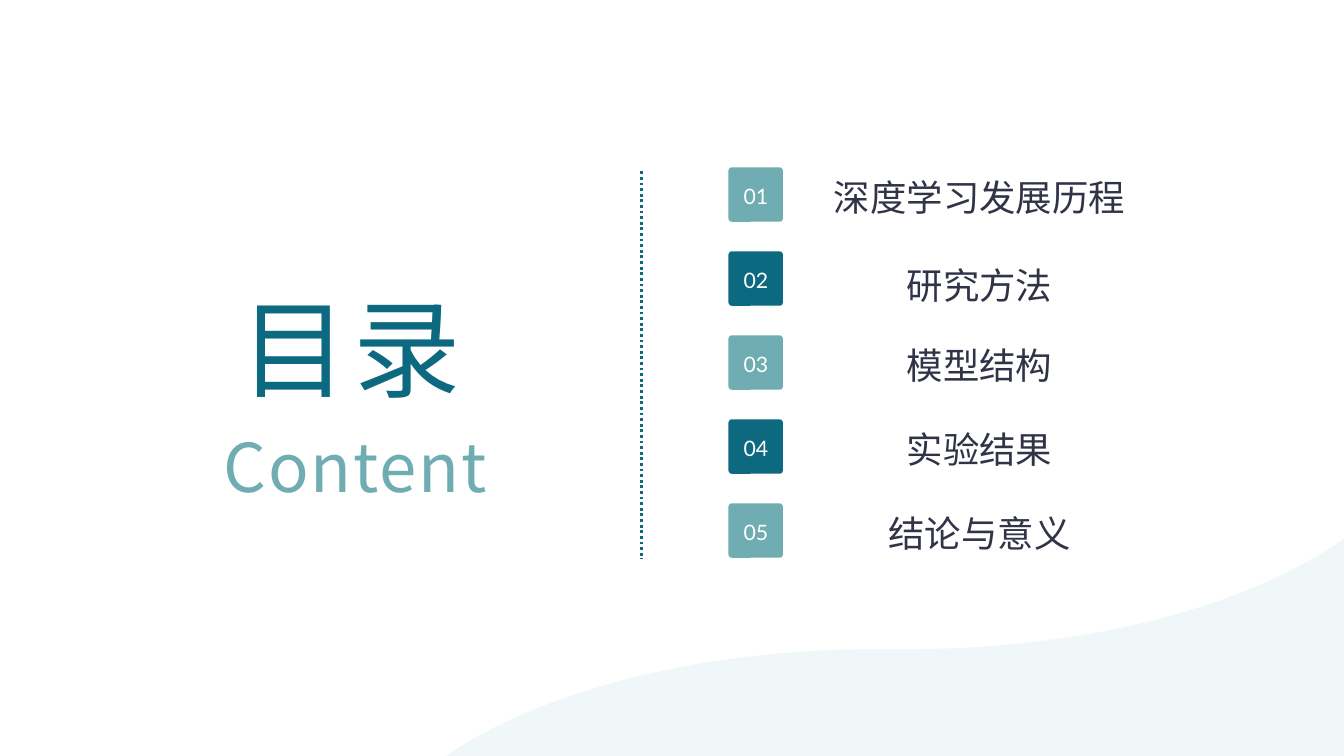
from dataclasses import dataclass
from pptx import Presentation
from pptx import util as u
from pptx.dml.color import RGBColor
from pptx.enum import dml, shapes, text
from pptx.oxml.ns import qn
from lxml import etree

# Grid: 20 columns of one inch; agenda rows 1.25 inches apart
COL = u.Inches(1)
FIRST_ROW, ROW = 2.49, 1.25
TEAL, SEA, INK, MIST, WHITE = "0C6980", "70ADB2", "313447", "F0F7F8", "FFFFFF"


@dataclass
class Style:
    font: str
    size: float
    color: str
    line: float
    align: text.PP_ALIGN = text.PP_ALIGN.LEFT
    tracking: float = 0


@dataclass
class Item:
    label: str
    nudge: float = 0


HEADING = Style("Arial", 115, TEAL, 107.5, tracking=6.1)
SUBHEAD = Style("Noto Sans CJK SC", 72, SEA, 62.1, tracking=1.9)
NUMBER = Style("Lato", 22.8, WHITE, 31.9, text.PP_ALIGN.CENTER)
LABEL = Style("Arial", 39, INK, 54.6, text.PP_ALIGN.CENTER)

ITEMS = [Item("深度学习发展历程"), Item("研究方法", 0.05), Item("模型结构"),
         Item("实验结果"), Item("结论与意义")]


def rgb(color: str) -> RGBColor:
    return RGBColor.from_string(color)


def cols(*values: float) -> list[int]:
    return [u.Emu(round(v * COL)) for v in values]


def paint(sp, color: str) -> None:
    sp.shadow.inherit = False
    sp.fill.solid()
    sp.fill.fore_color.rgb = rgb(color)
    sp.line.fill.background()


def write(sp, words: str, style: Style) -> None:
    tf = sp.text_frame
    tf.margin_left = tf.margin_right = tf.margin_top = tf.margin_bottom = 0
    tf.word_wrap = True
    tf.auto_size = text.MSO_AUTO_SIZE.SHAPE_TO_FIT_TEXT
    tf.vertical_anchor = text.MSO_ANCHOR.TOP
    p = tf.paragraphs[0]
    p.text = words
    p.alignment = style.align
    p.line_spacing = u.Pt(style.line)
    p.space_before = u.Pt(0)
    p.font.name, p.font.size = style.font, u.Pt(style.size)
    p.font.color.rgb = rgb(style.color)
    if style.tracking:
        for r in p.runs:
            r._r.get_or_add_rPr().set("spc", str(round(style.tracking * 100)))


def add_text(slide, box: tuple, words: str, style: Style) -> None:
    write(slide.shapes.add_textbox(*cols(*box)), words, style)


def bezier(a: tuple, b: tuple, c: tuple, d: tuple, steps: int = 40) -> list[tuple]:
    points = []
    for i in range(1, steps + 1):
        t = i / steps
        s = 1 - t
        points.append(tuple(s**3 * w + 3 * s * s * t * x + 3 * s * t * t * y + t**3 * z
                            for w, x, y, z in zip(a, b, c, d)))
    return points


def add_wave(slide) -> None:
    crest, saddle, end = (13.05, 9.66), (13.52, 9.66), (21.16, 6.71)
    outline = [(21.22, 13.35), (5.25, 13.35)]
    outline += bezier(outline[-1], (5.25, 11.31), (8.74, 9.66), crest)
    outline += [saddle] + bezier(saddle, (17.29, 9.66), (20.43, 8.39), end)
    builder = slide.shapes.build_freeform(*cols(21.22, 6.53))
    builder.add_line_segments([cols(*point) for point in outline], close=True)
    paint(builder.convert_to_shape(), MIST)


def add_divider(slide) -> None:
    line = slide.shapes.add_connector(shapes.MSO_CONNECTOR.STRAIGHT,
                                      *cols(9.55, 2.55, 9.55, 8.31))
    line.line.color.rgb = rgb(TEAL)
    line.line.width = u.Pt(3)
    line.line.dash_style = dml.MSO_LINE.ROUND_DOT
    etree.SubElement(line._element.spPr, qn("a:effectLst"))


def add_item(slide, index: int, item: Item) -> None:
    top = FIRST_ROW + index * ROW
    badge = slide.shapes.add_shape(shapes.MSO_SHAPE.ROUNDED_RECTANGLE,
                                   *cols(10.84, top, 0.81, 0.81))
    badge.adjustments[0] = 0.06
    paint(badge, TEAL if index % 2 else SEA)
    add_text(slide, (10.91, top + 0.17, 0.68, 0.45), f"{index + 1:02d}", NUMBER)
    add_text(slide, (11.94, top + 0.01 + item.nudge, 5.27, 0.7), item.label, LABEL)


def main() -> None:
    prs = Presentation()
    prs.slide_width, prs.slide_height = cols(20, 11.25)
    slide = prs.slides.add_slide(prs.slide_layouts[5])

    # Background wave
    add_wave(slide)

    # Heading
    title = slide.shapes.title
    title.left, title.top, title.width, title.height = cols(3.58, 4.62, 6.08, 1.51)
    write(title, "目录", HEADING)
    add_text(slide, (3.33, 6.66, 9.96, 0.87), "Content", SUBHEAD)

    # Agenda
    add_divider(slide)
    for index, item in enumerate(ITEMS):
        add_item(slide, index, item)

    prs.save("out.pptx")


if __name__ == "__main__":
    main()
